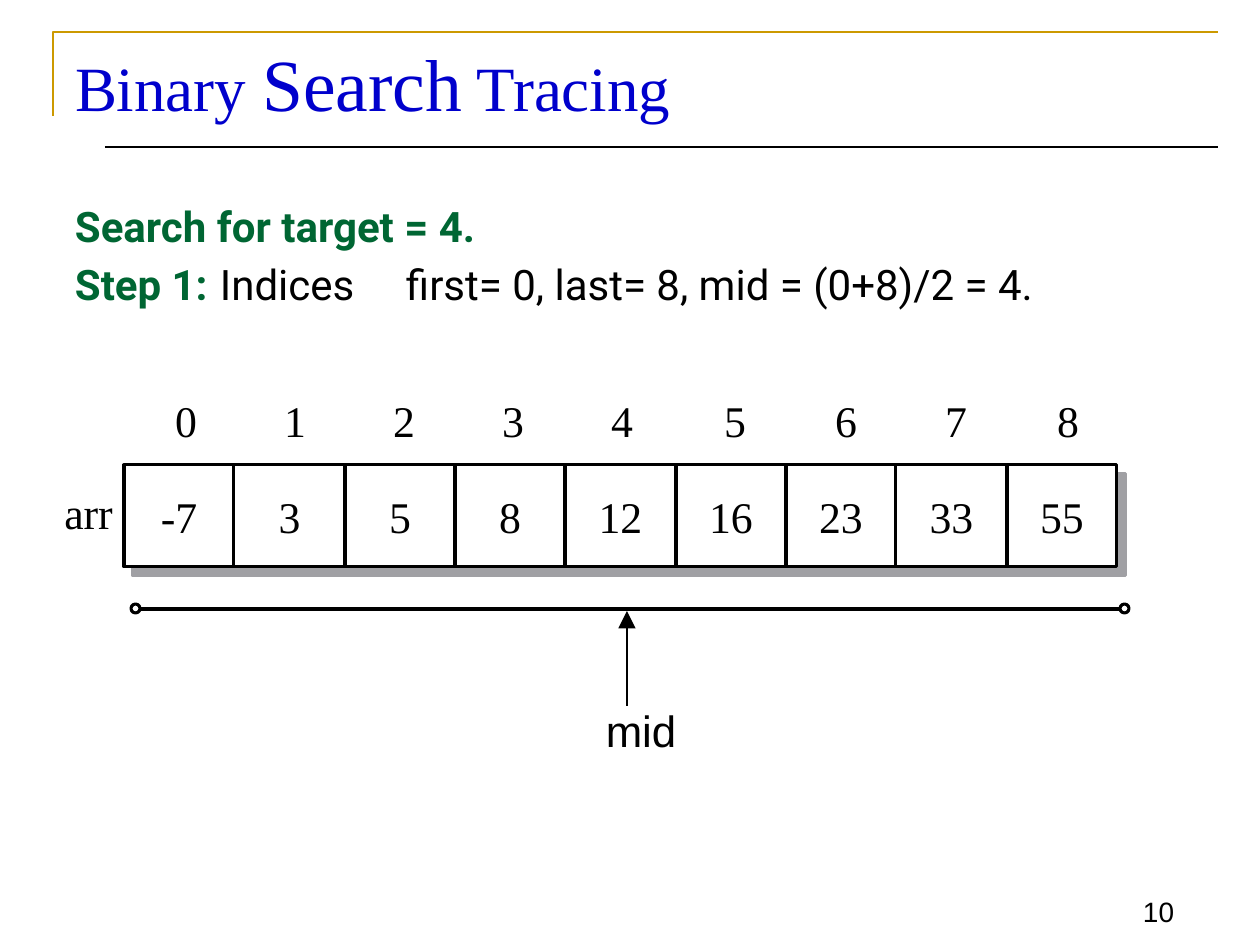
from typing import NamedTuple

from lxml import etree
from pptx import Presentation
from pptx.dml.color import RGBColor
from pptx.enum.shapes import MSO_CONNECTOR, MSO_SHAPE
from pptx.enum.text import MSO_ANCHOR, PP_ALIGN
from pptx.oxml.ns import qn
from pptx.util import Emu, Pt

RECT, OVAL, STRAIGHT = MSO_SHAPE.RECTANGLE, MSO_SHAPE.OVAL, MSO_CONNECTOR.STRAIGHT
LEFT, CENTER, RIGHT = PP_ALIGN.LEFT, PP_ALIGN.CENTER, PP_ALIGN.RIGHT
TOP, MIDDLE, BOTTOM = MSO_ANCHOR.TOP, MSO_ANCHOR.MIDDLE, MSO_ANCHOR.BOTTOM

PX_PER_INCH = 126
SERIF, SANS, BODY = "Times New Roman", "Arial", "Roboto"
BLACK, WHITE, GRAY = "000000", "FFFFFF", "A0A0A4"
GOLD, BLUE, GREEN = "CC9900", "0000CC", "006633"
STROKE = 1.75


class Cell(NamedTuple):
    value: str
    label_x: int  # centre of the index label


CELLS = [
    Cell("-7", 186), Cell("3", 295), Cell("5", 404), Cell("8", 513), Cell("12", 622),
    Cell("16", 735), Cell("23", 846), Cell("33", 956), Cell("55", 1068),
]
ROW_X, ROW_Y, ROW_W, ROW_H = 124, 465, 993, 102
SHADOW_OFFSET = 9


def px(n: int) -> Emu:
    return Emu(round(n * 914400 / PX_PER_INCH))


def rgb(color: str) -> RGBColor:
    return RGBColor.from_string(color)


def add_run(p, text: str, *, size: float, font: str, color: str = BLACK, bold: bool = False):
    r = p.add_run()
    r.text = text
    r.font.size, r.font.name, r.font.bold = Pt(size), font, bold
    r.font.color.rgb = rgb(color)


def setup_frame(tf, *, inset: int = 0, anchor=TOP, wrap: bool = False):
    tf.margin_left = tf.margin_right = px(2 * inset)
    tf.margin_top = tf.margin_bottom = px(inset)
    tf.vertical_anchor, tf.word_wrap = anchor, wrap


def add_label(s, text: str, x: int, y: int, w: int, h: int, *, align=CENTER,
              size: float = 25, font: str = SERIF, **frame):
    tf = s.shapes.add_textbox(px(x), px(y), px(w), px(h)).text_frame
    setup_frame(tf, **frame)
    p = tf.paragraphs[0]
    p.alignment = align
    add_run(p, text, size=size, font=font)


def add_box(s, kind, x: int, y: int, w: int, h: int, *, line: str = BLACK, fill: str = ""):
    sp = s.shapes.add_shape(kind, px(x), px(y), px(w), px(h))
    sp.shadow.inherit = False
    sp.line.color.rgb, sp.line.width = rgb(line), Pt(STROKE)
    if fill:
        sp.fill.solid()
        sp.fill.fore_color.rgb = rgb(fill)
    else:
        sp.fill.background()
    return sp


def add_line(s, x1: int, y1: int, x2: int, y2: int, *, width: float, arrow: bool = False):
    cx = s.shapes.add_connector(STRAIGHT, px(x1), px(y1), px(x2), px(y2))
    cx.line.color.rgb, cx.line.width = rgb(BLACK), Pt(width)
    if arrow:
        etree.SubElement(cx.line._get_or_add_ln(), qn("a:tailEnd"),
                         type="triangle", w="lg", len="lg")
    etree.SubElement(cx._element.spPr, qn("a:effectLst"))


def add_tabs(p, *stops: int):
    tabs = etree.SubElement(p._p.get_or_add_pPr(), qn("a:tabLst"))
    for stop in stops:
        etree.SubElement(tabs, qn("a:tab"), pos=str(px(stop)), algn="l")


def draw_frame(s):
    builder = s.shapes.build_freeform(px(53), px(116))
    builder.add_line_segments([(px(53), px(32)), (px(1218), px(32))], close=False)
    sp = builder.convert_to_shape()
    sp.shadow.inherit = False
    sp.fill.background()
    sp.line.color.rgb, sp.line.width = rgb(GOLD), Pt(1.5)
    add_line(s, 105, 147, 1218, 147, width=0.75)
    add_label(s, "10", 1102, 872, 84, 62, align=RIGHT, size=16, font=SANS,
              inset=6, anchor=BOTTOM, wrap=True)


def draw_title(s):
    title = s.shapes.title
    title.left, title.top, title.width, title.height = px(63), px(27), px(1061), px(105)
    setup_frame(title.text_frame, inset=6, anchor=BOTTOM, wrap=True)
    p = title.text_frame.paragraphs[0]
    p.alignment = LEFT
    for text, size in (("Binary ", 36), ("Search", 42), (" Tracing", 36)):
        add_run(p, text, size=size, font=SERIF, color=BLUE)


def draw_step(s):
    tf = s.shapes.add_textbox(px(63), px(202), px(1144), px(117)).text_frame
    setup_frame(tf, inset=6, wrap=True)
    target, step = tf.paragraphs[0], tf.add_paragraph()
    for p in (target, step):
        p.line_spacing, p.space_before = 0.85, Pt(9)
    add_run(target, "Search for target = 4.", size=24, font=BODY, color=GREEN, bold=True)
    add_tabs(step, 145, 331)
    add_run(step, "Step 1:", size=24, font=BODY, color=GREEN, bold=True)
    add_run(step, "\tIndices\tfirst= 0, last= 8, mid = (0+8)/2 = 4.", size=24, font=BODY)


def draw_array(s):
    edges = [ROW_X + round(i * ROW_W / len(CELLS)) for i in range(len(CELLS) + 1)]
    spans = [(a, b - a) for a, b in zip(edges, edges[1:])]
    for x, w in spans:
        add_box(s, RECT, x + SHADOW_OFFSET, ROW_Y + SHADOW_OFFSET, w, ROW_H,
                line=GRAY, fill=GRAY)
    add_label(s, "arr", 60, 486, 57, 53)
    for i, (cell, (x, w)) in enumerate(zip(CELLS, spans)):
        sp = add_box(s, RECT, x, ROW_Y, w, ROW_H, fill=WHITE)
        setup_frame(sp.text_frame, anchor=MIDDLE)
        p = sp.text_frame.paragraphs[0]
        p.alignment = CENTER
        add_run(p, cell.value, size=25, font=SERIF)
        add_label(s, str(i), cell.label_x - 15, 394, 30, 53)


def draw_range(s):
    # Search range with open ends, and the pointer to its middle
    add_line(s, 141, 609, 1120, 609, width=STROKE)
    for x in (131, 1120):
        add_box(s, OVAL, x, 604, 9, 9)
    add_line(s, 627, 706, 627, 611, width=1.38, arrow=True)
    add_label(s, "mid", 596, 704, 90, 53, font=SANS)


def main():
    prs = Presentation()
    prs.slide_width, prs.slide_height = px(1260), px(945)
    s = prs.slides.add_slide(prs.slide_layouts[5])  # title only
    draw_frame(s)
    draw_title(s)
    draw_step(s)
    draw_range(s)
    draw_array(s)
    prs.save("out.pptx")


if __name__ == "__main__":
    main()
